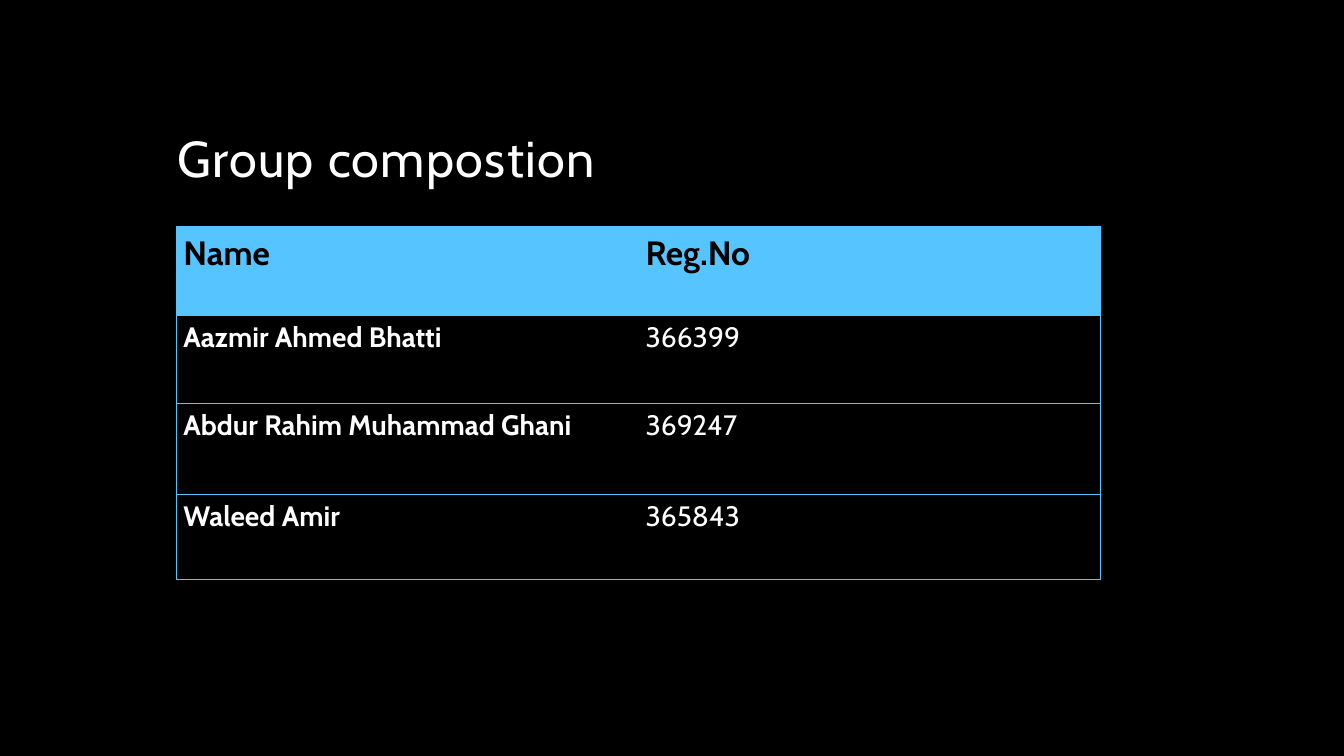
from lxml.etree import SubElement
from pptx import Presentation
from pptx.dml.color import RGBColor
from pptx.enum.text import MSO_ANCHOR as Anchor, MSO_AUTO_SIZE as AutoSize, PP_ALIGN as Align
from pptx.oxml.ns import qn
from pptx.util import Pt

FONT = "Cabin"
BLACK, WHITE, BLUE = "000000", "FFFFFF", "56C5FF"
MEMBERS = [
    ("Name", "Reg.No"),
    ("Aazmir Ahmed Bhatti", "366399"),
    ("Abdur Rahim Muhammad Ghani", "369247"),
    ("Waleed Amir", "365843"),
]
ROW_HEIGHTS = [63.36, 62.64, 64.8, 61.2]


def color(value):
    return RGBColor.from_string(value)


def set_values(target, values):
    for name, value in values.items():
        setattr(target, name, value)


def write(frame, text, size, text_color, bold, spacing):
    paragraph = frame.paragraphs[0]
    set_values(paragraph, {"alignment": Align.LEFT, "line_spacing": spacing})
    run = paragraph.add_run()
    run.text = text
    set_values(run.font, {"name": FONT, "size": Pt(size), "bold": bold})
    run.font.color.rgb = color(text_color)
    return run


def set_borders(cell, sides):
    """Draw the named sides in blue and clear the others."""
    properties = cell._tc.get_or_add_tcPr()
    for side in "LRTB":
        line = SubElement(properties, qn(f"a:ln{side}"), w=str(Pt(0.5)))
        if side in sides:
            fill = SubElement(line, qn("a:solidFill"))
            SubElement(fill, qn("a:srgbClr"), val=BLUE)
        else:
            SubElement(line, qn("a:noFill"))


def add_title(slide, text, left, top, width, height):
    title = slide.shapes.title
    set_values(title, {"left": Pt(left), "top": Pt(top),
                       "width": Pt(width), "height": Pt(height)})
    frame = title.text_frame
    set_values(frame, {"word_wrap": True, "auto_size": AutoSize.NONE,
                       "vertical_anchor": Anchor.BOTTOM})
    run = write(frame, text, 36, WHITE, False, 0.9)
    run.font._element.set("spc", "100")


def add_members(slide, left, top, width, height):
    table = slide.shapes.add_table(
        len(MEMBERS), 2, Pt(left), Pt(top), Pt(width), Pt(height)).table
    set_values(table, {"first_row": False, "horz_banding": False})
    for column in table.columns:
        column.width = Pt(width / 2)
    for row, row_height in zip(table.rows, ROW_HEIGHTS):
        row.height = Pt(row_height)

    for row_index, member in enumerate(MEMBERS):
        header = row_index == 0
        for column_index, text in enumerate(member):
            cell = table.cell(row_index, column_index)
            set_values(cell, {"margin_left": Pt(5), "margin_right": Pt(5),
                              "margin_top": 0, "margin_bottom": 0,
                              "vertical_anchor": Anchor.TOP})
            write(cell.text_frame, text, 24 if header else 20,
                  BLACK if header else WHITE, header or column_index == 0, 1.15)
            # Outer frame and row rules, with no line between the columns
            set_borders(cell, "TB" + "LR"[column_index])
            if header:
                cell.fill.solid()
                cell.fill.fore_color.rgb = color(BLUE)
            else:
                cell.fill.background()


def main():
    presentation = Presentation()
    set_values(presentation, {"slide_width": Pt(960), "slide_height": Pt(540)})
    slide = presentation.slides.add_slide(presentation.slide_layouts[5])

    # Black background
    background = slide.background.fill
    background.solid()
    background.fore_color.rgb = color(BLACK)

    # Title above the member table
    add_title(slide, "Group compostion", 119.5, 30.25, 720, 108)
    add_members(slide, 126, 162, 660.24, sum(ROW_HEIGHTS))
    presentation.save("out.pptx")


if __name__ == "__main__":
    main()
